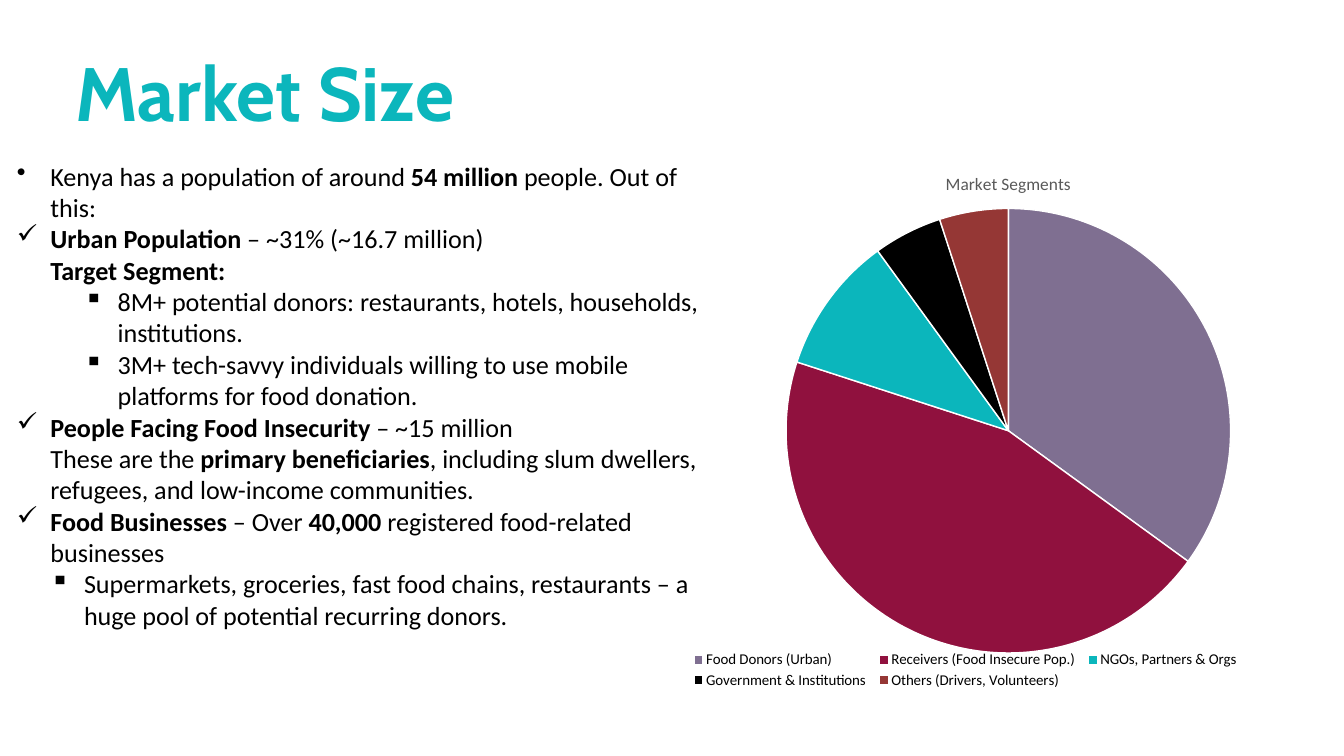
from dataclasses import dataclass

import lxml.etree
import pptx
import pptx.chart.data
import pptx.dml.color
import pptx.enum.chart
import pptx.oxml
import pptx.oxml.ns
import pptx.util

Inches = pptx.util.Inches
Pt = pptx.util.Pt


@dataclass(frozen=True)
class Theme:
    heading_font: str = "Cabin"
    body_font: str = "Calibri"
    teal: str = "0BB6BC"
    black: str = "000000"
    grey: str = "595959"
    white: str = "FFFFFF"
    title_size: float = 81
    title_spacing: float = 97.2
    body_size: float = 28
    chart_title_size: float = 18.6
    legend_size: float = 16


@dataclass(frozen=True)
class Line:
    text: str  # bold stretches stand between asterisks
    bullet: str = ""
    level: int = 0
    left: float = 0.5


@dataclass(frozen=True)
class Segment:
    name: str
    share: int
    color: str


@dataclass(frozen=True)
class Box:
    left: float
    top: float
    width: float
    height: float

    def lengths(self) -> tuple:
        return tuple(Inches(n) for n in (self.left, self.top, self.width, self.height))


THEME = Theme()
HANGING = 0.5

LINES = [
    Line("Kenya has a population of around *54 million* people. Out of this:", "•"),
    Line("*Urban Population* – ~31% (~16.7 million)", "✓"),
    Line("*Target Segment:*", level=1),
    Line("8M+ potential donors: restaurants, hotels, households, institutions.", "▪", 2, 1.5),
    Line("3M+ tech-savvy individuals willing to use mobile platforms for food donation.", "▪", 2, 1.5),
    Line("*People Facing Food Insecurity* – ~15 million", "✓"),
    Line("These are the *primary beneficiaries*, including slum dwellers, refugees, "
         "and low-income communities.", level=1),
    Line("*Food Businesses* – Over *40,000* registered food-related businesses", "✓"),
    Line("Supermarkets, groceries, fast food chains, restaurants – a huge pool of "
         "potential recurring donors.", "▪", 1, 1),
]

SEGMENTS = [
    Segment("Food Donors (Urban)", 35, "7F6F91"),
    Segment("Receivers (Food Insecure Pop.)", 45, "90113E"),
    Segment("NGOs, Partners & Orgs", 10, THEME.teal),
    Segment("Government & Institutions", 5, THEME.black),
    Segment("Others (Drivers, Volunteers)", 5, "953735"),
]


def style_font(font, name: str, size: float, color: str, bold: bool = False) -> None:
    font.name = name
    font.size = Pt(size)
    font.bold = bold
    font.color.rgb = pptx.dml.color.RGBColor.from_string(color)


def add_text_frame(slide, box: Box):
    frame = slide.shapes.add_textbox(*box.lengths()).text_frame
    frame.word_wrap = True
    frame.margin_left = frame.margin_top = frame.margin_right = frame.margin_bottom = 0
    return frame


def set_indent(paragraph, line: Line) -> None:
    properties = paragraph._p.get_or_add_pPr()
    properties.set("marL", str(Inches(line.left)))
    properties.set("indent", str(Inches(-HANGING if line.bullet else 0)))
    if line.bullet:
        bullet = lxml.etree.SubElement(properties, pptx.oxml.ns.qn("a:buChar"))
        bullet.set("char", line.bullet)


def add_lines(slide, box: Box, lines: list[Line]) -> None:
    frame = add_text_frame(slide, box)
    for index, line in enumerate(lines):
        paragraph = frame.add_paragraph() if index else frame.paragraphs[0]
        paragraph.level = line.level
        set_indent(paragraph, line)
        for part, text in enumerate(line.text.split("*")):
            if text:
                run = paragraph.add_run()
                run.text = text
                style_font(run.font, THEME.body_font, THEME.body_size, THEME.black, part % 2 == 1)


def add_title(slide, box: Box, text: str) -> None:
    paragraph = add_text_frame(slide, box).paragraphs[0]
    paragraph.line_spacing = Pt(THEME.title_spacing)
    run = paragraph.add_run()
    run.text = text
    style_font(run.font, THEME.heading_font, THEME.title_size, THEME.teal, True)


def manual_layout(box: Box, inner: bool = False):
    """Layout element whose box is given in fractions of the chart."""
    target = '<c:layoutTarget val="inner"/>' if inner else ""
    return pptx.oxml.parse_xml(
        f'<c:layout {pptx.oxml.ns.nsdecls("c")}><c:manualLayout>{target}'
        '<c:xMode val="edge"/><c:yMode val="edge"/>'
        f'<c:x val="{box.left}"/><c:y val="{box.top}"/>'
        f'<c:w val="{box.width}"/><c:h val="{box.height}"/>'
        '</c:manualLayout></c:layout>')


def place_chart_part(parent, layout, position: int) -> None:
    for old_layout in parent.findall(pptx.oxml.ns.qn("c:layout")):
        parent.remove(old_layout)
    parent.insert(position, layout)


def add_pie(slide, box: Box, title: str, segments: list[Segment]) -> None:
    data = pptx.chart.data.CategoryChartData()
    data.categories = [segment.name for segment in segments]
    data.add_series(title, [segment.share for segment in segments])
    chart = slide.shapes.add_chart(
        pptx.enum.chart.XL_CHART_TYPE.PIE, *box.lengths(), data).chart
    style_font(chart.font, THEME.body_font, 10, THEME.black)

    # Chart title
    chart.has_title = True
    run = chart.chart_title.text_frame.paragraphs[0].add_run()
    run.text = title
    style_font(run.font, THEME.body_font, THEME.chart_title_size, THEME.grey)

    # Slices
    plot = chart.plots[0]
    plot.vary_by_categories = True
    for index, segment in enumerate(segments):
        slice_format = plot.series[0].points[index].format
        slice_format.fill.solid()
        slice_format.fill.fore_color.rgb = pptx.dml.color.RGBColor.from_string(segment.color)
        slice_format.line.color.rgb = pptx.dml.color.RGBColor.from_string(THEME.white)
        slice_format.line.width = Pt(1.5)

    # Legend and plot positions
    chart.has_legend = True
    legend = chart.legend
    legend.position = pptx.enum.chart.XL_LEGEND_POSITION.BOTTOM
    legend.include_in_layout = False
    style_font(legend.font, THEME.body_font, THEME.legend_size, THEME.black)
    place_chart_part(legend._element, manual_layout(Box(0.05, 0.92, 0.78, 0.08)), 1)
    plot_area = chart._chartSpace.chart.plotArea
    place_chart_part(plot_area, manual_layout(Box(0.19, 0.1, 0.62, 0.83), inner=True), 0)


def main() -> None:
    presentation = pptx.Presentation()
    presentation.slide_width = Inches(20)
    presentation.slide_height = Inches(11.25)
    slide = presentation.slides.add_slide(presentation.slide_layouts[6])

    add_lines(slide, Box(0.25, 2.38, 10.58, 7.66), LINES)
    add_title(slide, Box(1.12, 0.68, 7.54, 1.34), "Market Size")
    add_pie(slide, Box(9.67, 2.29, 10.67, 8), "Market Segments", SEGMENTS)
    presentation.save("out.pptx")


if __name__ == "__main__":
    main()
